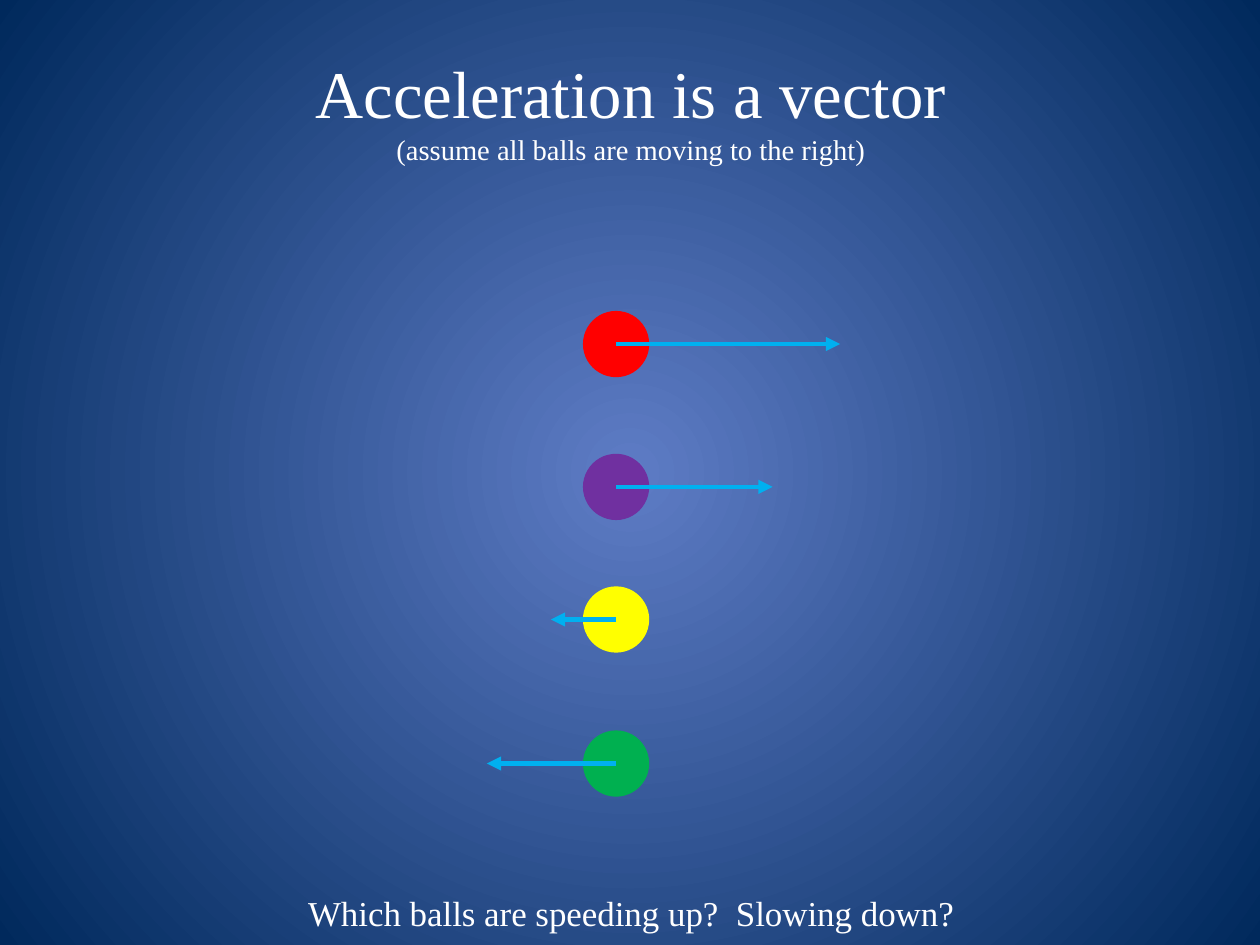
import lxml.etree
import pptx
import pptx.dml.color
import pptx.enum.dml
import pptx.enum.shapes
import pptx.enum.text
import pptx.oxml.ns
import pptx.util

Inches = pptx.util.Inches
RGBColor = pptx.dml.color.RGBColor
qn = pptx.oxml.ns.qn

WHITE = RGBColor(0xFF, 0xFF, 0xFF)
SKY = RGBColor(0x00, 0xB0, 0xF0)
GLOW = RGBColor(0x5E, 0x7C, 0xC5)
NAVY = RGBColor(0x00, 0x29, 0x5C)
RED = RGBColor(0xFF, 0x00, 0x00)
PURPLE = RGBColor(0x70, 0x30, 0xA0)
YELLOW = RGBColor(0xFF, 0xFF, 0x00)
GREEN = RGBColor(0x00, 0xB0, 0x50)

# The page measures 28 by 21 cm
SLIDE_WIDTH, SLIDE_HEIGHT = 28 / 2.54, 21 / 2.54
BALL_SIZE = 0.58
# Colour, top within the diagram, signed arrow length (positive is right)
BALLS = [
    (RED, 0, 1.96),
    (PURPLE, 1.25, 1.37),
    (YELLOW, 2.41, -0.57),
    (GREEN, 3.67, -1.13),
]


def paint_background(page):
    """Radial gradient from a light centre to dark corners."""
    fill = page.background.fill
    fill.gradient()
    for stop, color in zip(fill.gradient_stops, (GLOW, NAVY)):
        stop.color.rgb = color
    linear = page.element.find(".//" + qn("a:lin"))
    radial = lxml.etree.Element(qn("a:path"), path="circle")
    lxml.etree.SubElement(radial, qn("a:fillToRect"),
                          l="50000", t="50000", r="50000", b="50000")
    linear.getparent().replace(linear, radial)


def write_lines(shape, lines):
    """Centred white paragraphs, one for each (text, size)."""
    frame = shape.text_frame
    frame_format = {
        "word_wrap": True,
        "auto_size": pptx.enum.text.MSO_AUTO_SIZE.NONE,
        "vertical_anchor": pptx.enum.text.MSO_ANCHOR.MIDDLE,
    }
    for name, value in frame_format.items():
        setattr(frame, name, value)
    for index, (text, size) in enumerate(lines):
        para = frame.paragraphs[0] if index == 0 else frame.add_paragraph()
        para_format = {
            "alignment": pptx.enum.text.PP_ALIGN.CENTER,
            "line_spacing": 1.0,
            "space_before": pptx.util.Pt(0),
        }
        for name, value in para_format.items():
            setattr(para, name, value)
        span = para.add_run()
        span.text = text
        font_format = {"name": "Times New Roman", "size": pptx.util.Pt(size)}
        for name, value in font_format.items():
            setattr(span.font, name, value)
        span.font.color.rgb = WHITE


def add_title(page, left, top, width, height):
    title = page.shapes.title
    place = {"left": left, "top": top, "width": width, "height": height}
    for name, value in place.items():
        setattr(title, name, Inches(value))
    write_lines(title, [
        ("Acceleration is a vector", 42),
        ("(assume all balls are moving to the right)", 18),
    ])


def add_ball(page, left, top, color):
    ball = page.shapes.add_shape(
        pptx.enum.shapes.MSO_SHAPE.OVAL,
        Inches(left), Inches(top), Inches(BALL_SIZE), Inches(BALL_SIZE))
    ball.shadow.inherit = False
    ball.fill.solid()
    ball.fill.fore_color.rgb = color
    ball.line.fill.background()


def add_arrow(page, left, top, length):
    arrow = page.shapes.add_connector(
        pptx.enum.shapes.MSO_CONNECTOR.STRAIGHT,
        Inches(left), Inches(top), Inches(left + length), Inches(top))
    arrow.line.width = pptx.util.Pt(3)
    arrow.line.color.rgb = SKY
    properties = arrow.element.spPr
    lxml.etree.SubElement(properties.find(qn("a:ln")), qn("a:tailEnd"), type="triangle")
    lxml.etree.SubElement(properties, qn("a:effectLst"))


def add_diagram(page, left, top):
    """Balls in a column, each with an arrow from its centre."""
    for color, offset, length in BALLS:
        add_ball(page, left, top + offset, color)
    radius = BALL_SIZE / 2
    for color, offset, length in BALLS:
        add_arrow(page, left + radius, top + offset + radius, length)


def add_question(page, left, top, width, height):
    box = page.shapes.add_textbox(
        Inches(left), Inches(top), Inches(width), Inches(height))
    write_lines(box, [("Which balls are speeding up?  Slowing down?", 22)])


def main():
    deck = pptx.Presentation()
    deck.slide_width = Inches(SLIDE_WIDTH)
    deck.slide_height = Inches(SLIDE_HEIGHT)
    page = deck.slides.add_slide(deck.slide_layouts[5])
    paint_background(page)
    add_title(page, 0.01, 0.38, 11.02, 1.14)
    add_diagram(page, 5.1, 2.72)
    add_question(page, 0.01, 7.75, 11.02, 0.47)
    deck.save("out.pptx")


if __name__ == "__main__":
    main()
